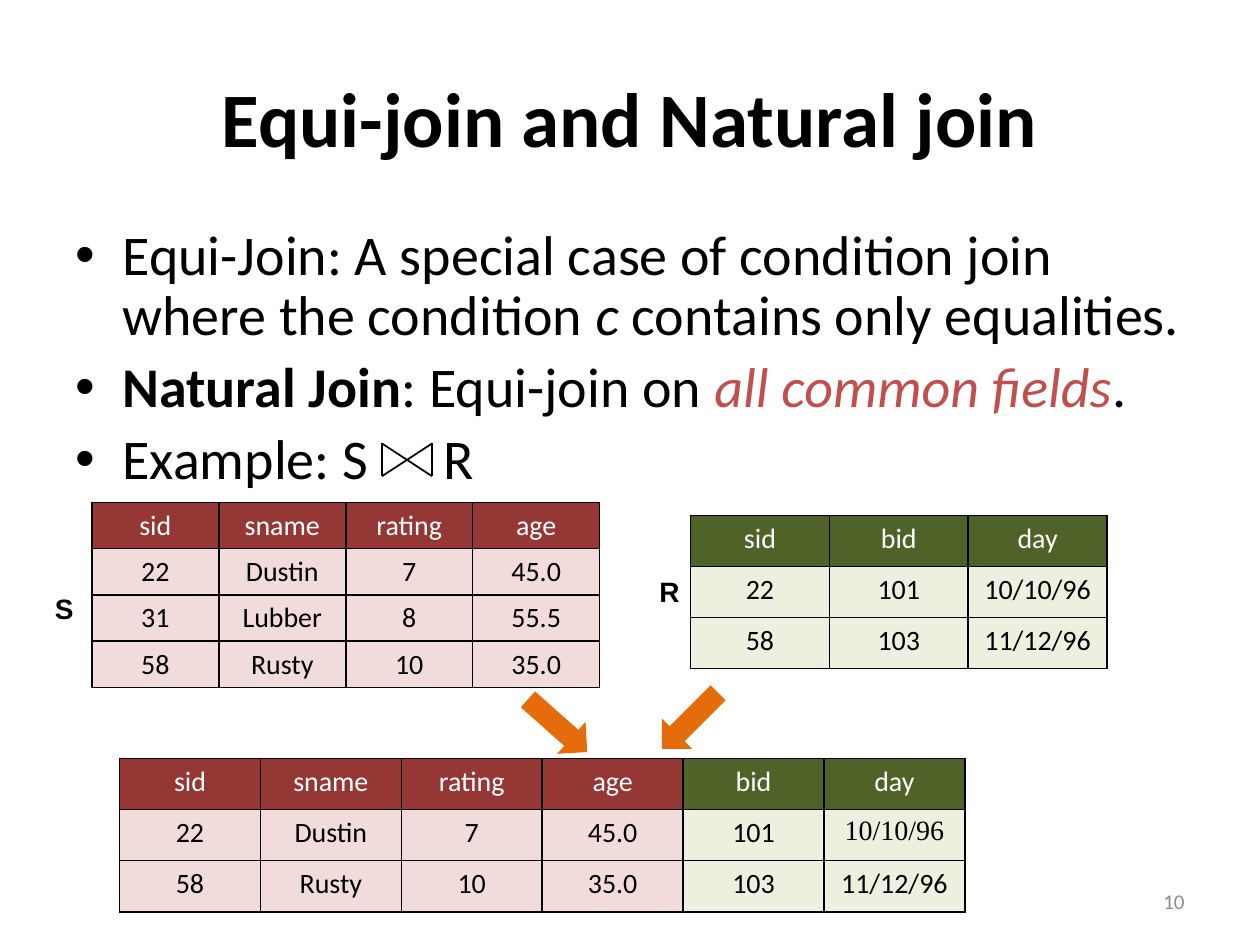
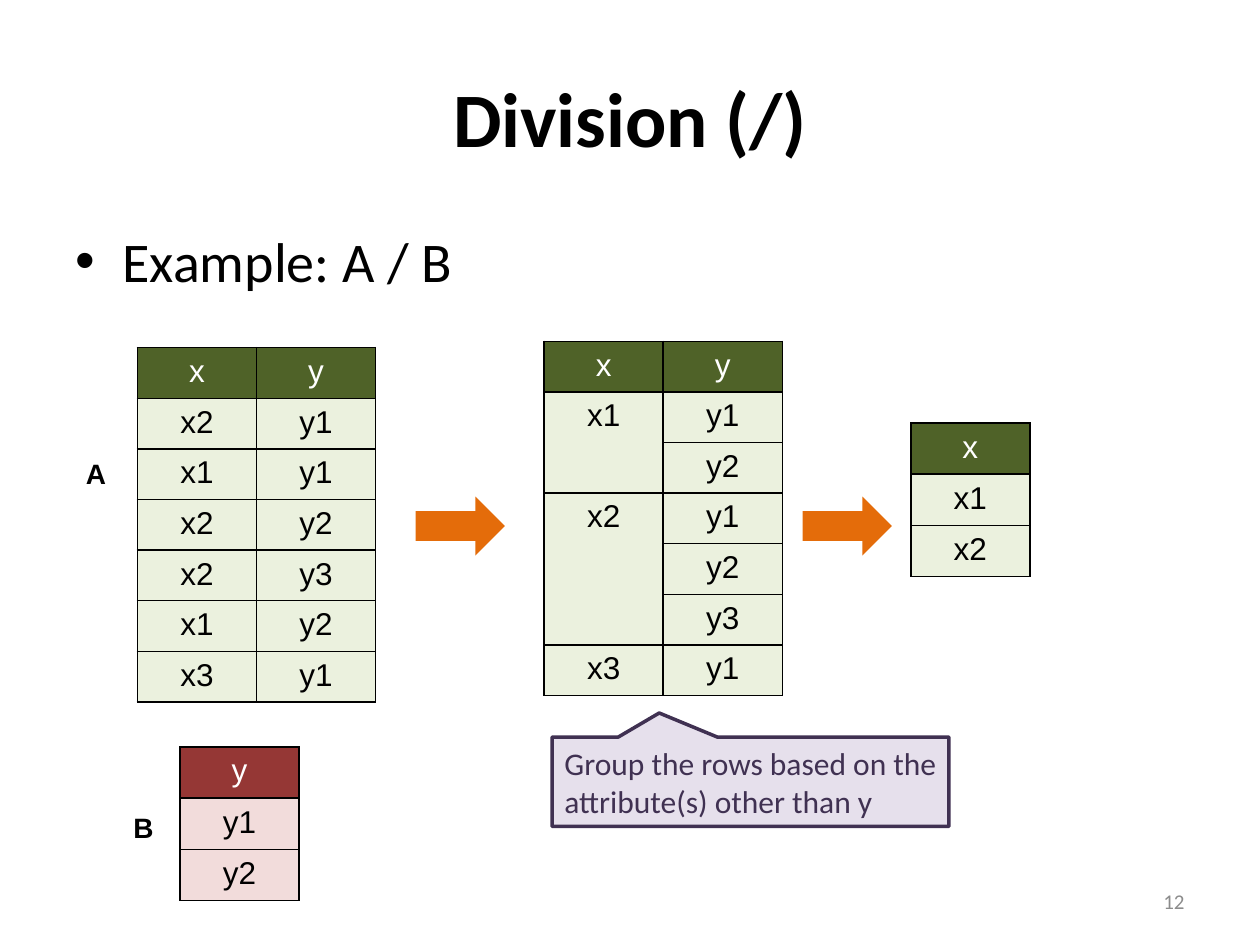
from lxml.etree import SubElement
from pptx import Presentation
from pptx.dml.color import RGBColor
from pptx.enum.shapes import MSO_CONNECTOR as Connector, MSO_SHAPE as Shape
from pptx.enum.text import MSO_ANCHOR as Anchor, PP_ALIGN as Align
from pptx.oxml.ns import qn
from pptx.util import Cm, Pt

# Colours
BLACK = RGBColor(0x00, 0x00, 0x00)
WHITE = RGBColor(0xFF, 0xFF, 0xFF)
GRAY = RGBColor(0x8C, 0x8C, 0x8C)
ACCENT_RED = RGBColor(0xC0, 0x50, 0x4D)
DARK_RED = RGBColor(0x95, 0x37, 0x35)
PALE_RED = RGBColor(0xF2, 0xDC, 0xDB)
DARK_GREEN = RGBColor(0x4F, 0x62, 0x28)
PALE_GREEN = RGBColor(0xEB, 0xF1, 0xDE)
ORANGE = RGBColor(0xE4, 0x6C, 0x0A)
DARK_PURPLE = RGBColor(0x40, 0x31, 0x52)
PALE_PURPLE = RGBColor(0xE6, 0xE0, 0xEC)

# Table themes: header fill, body fill
RED = (DARK_RED, PALE_RED)
GREEN = (DARK_GREEN, PALE_GREEN)

# Text formats
TITLE = dict(name="Calibri", size=Pt(44), bold=True, color=BLACK)
BODY = dict(name="Calibri", size=Pt(32), color=BLACK)
NUMBER = dict(name="Calibri", size=Pt(12), color=GRAY)
LABEL = dict(name="Arial", size=Pt(16), bold=True, color=BLACK)
CALLOUT = dict(name="Calibri", size=Pt(18), color=DARK_PURPLE)
CALIBRI_CELL = dict(name="Calibri", size=Pt(16))
ARIAL_CELL = dict(name="Arial", size=Pt(18))


def format_font(font, values):
    for key, value in values.items():
        if key == "color":
            font.color.rgb = value
        else:
            setattr(font, key, value)


def add_span(para, text, values):
    span = para.add_run()
    span.text = text
    format_font(span.font, values)


def add_page(deck, title, number):
    page = deck.slides.add_slide(deck.slide_layouts[5])
    holder = page.shapes.title
    place = dict(left=Cm(1.27), top=Cm(0.76), width=Cm(22.86), height=Cm(3.18))
    for key, value in place.items():
        setattr(holder, key, value)
    holder.text_frame.vertical_anchor = Anchor.MIDDLE
    para = holder.text_frame.paragraphs[0]
    para.alignment = Align.CENTER
    add_span(para, title, TITLE)
    add_text(page, (18.21, 17.65, 5.92, 1.02), number, NUMBER, Align.RIGHT, Anchor.MIDDLE)
    return page


def add_box(page, place):
    box = page.shapes.add_textbox(*map(Cm, place))
    box.text_frame.word_wrap = True
    return box


def add_text(page, place, text, values, align, anchor=Anchor.TOP):
    frame = add_box(page, place).text_frame
    frame.vertical_anchor = anchor
    para = frame.paragraphs[0]
    para.alignment = align
    add_span(para, text, values)


def add_label(page, left, top, text):
    add_text(page, (left, top, 1.27, 0.94), text, LABEL, Align.CENTER)


def add_bullets(page, items, line_spacing=1.0, tab=None):
    """Each item is a list of (text, extra format) spans."""
    frame = add_box(page, (1.27, 4.45, 22.86, 12.57)).text_frame
    for index, spans in enumerate(items):
        para = frame.add_paragraph() if index else frame.paragraphs[0]
        props = para._p.get_or_add_pPr()
        props.set("marL", str(Cm(0.95)))
        props.set("indent", str(-Cm(0.95)))
        SubElement(props, qn("a:buFont"), typeface="Arial")
        SubElement(props, qn("a:buChar"), char="•")
        if tab:
            tabs = SubElement(props, qn("a:tabLst"))
            SubElement(tabs, qn("a:tab"), pos=str(Cm(tab)), algn="l")
        para.line_spacing = line_spacing
        if index:
            para.space_before = Pt(6.4)
        for text, extra in spans:
            add_span(para, text, BODY | extra)


def add_borders(cell):
    props = cell._tc.get_or_add_tcPr()
    for side in ("lnL", "lnR", "lnT", "lnB"):
        line = SubElement(props, qn(f"a:{side}"), w=str(Pt(1)))
        fill = SubElement(line, qn("a:solidFill"))
        SubElement(fill, qn("a:srgbClr"), val=str(BLACK))


def add_grid(page, left, top, column_width, row_height, rows, themes, values, merges=()):
    """Draw a table with one theme per column; None marks a merged cell."""
    row_count, column_count = len(rows), len(rows[0])
    table = page.shapes.add_table(
        row_count, column_count, Cm(left), Cm(top),
        Cm(column_width * column_count), Cm(row_height * row_count)).table
    for column in table.columns:
        column.width = Cm(column_width)
    for row in table.rows:
        row.height = Cm(row_height)
    for row_index, row in enumerate(rows):
        for column_index, text in enumerate(row):
            cell = table.cell(row_index, column_index)
            add_borders(cell)
            header, body = themes[column_index]
            cell.fill.solid()
            cell.fill.fore_color.rgb = body if row_index else header
            if text is None:
                continue
            para = cell.text_frame.paragraphs[0]
            para.alignment = Align.CENTER
            color = BLACK if row_index else WHITE
            add_span(para, text, values | dict(bold=False, color=color))
    for first, last in merges:
        table.cell(first, 0).merge(table.cell(last, 0))
    return table


def add_filled_shape(page, kind, place, color):
    shape = page.shapes.add_shape(kind, *map(Cm, place))
    shape.shadow.inherit = False
    shape.fill.solid()
    shape.fill.fore_color.rgb = color
    return shape


def add_arrow(page, place, rotation=0):
    arrow = add_filled_shape(page, Shape.RIGHT_ARROW, place, ORANGE)
    arrow.line.fill.background()
    arrow.rotation = rotation


def add_callout(page, place, text):
    callout = add_filled_shape(page, Shape.RECTANGULAR_CALLOUT, place, PALE_PURPLE)
    callout.adjustments[0] = -0.23
    callout.adjustments[1] = -0.77
    callout.line.color.rgb = DARK_PURPLE
    callout.line.width = Pt(2)
    frame = callout.text_frame
    frame.word_wrap = True
    frame.vertical_anchor = Anchor.MIDDLE
    frame.paragraphs[0].alignment = Align.LEFT
    add_span(frame.paragraphs[0], text, CALLOUT)


def add_join_symbol(page, left, top, right, bottom):
    group = page.shapes.add_group_shape()
    for ends in ((left, top, right, bottom), (left, bottom, right, top),
                 (left, top, left, bottom), (right, top, right, bottom)):
        line = group.shapes.add_connector(Connector.STRAIGHT, *map(Cm, ends))
        line.line.color.rgb = BLACK
        line.line.width = Pt(1)
        SubElement(line._element.spPr, qn("a:effectLst"))


def build_joins(deck):
    page = add_page(deck, "Equi-join and Natural join", "10")
    add_bullets(page, [
        [("Equi-Join: A special case of condition join where the condition ", {}),
         ("c", dict(italic=True)), (" contains only equalities.", {})],
        [("Natural Join", dict(bold=True)), (": Equi-join on ", {}),
         ("all common fields", dict(italic=True, color=ACCENT_RED)), (".", {})],
        [("Example: S\tR", {})],
    ], line_spacing=0.9, tab=7.42)
    add_join_symbol(page, 7.7, 8.94, 8.71, 9.6)

    # Source relations
    sailors = [("sid", "sname", "rating", "age"),
               ("22", "Dustin", "7", "45.0"),
               ("31", "Lubber", "8", "55.5"),
               ("58", "Rusty", "10", "35.0")]
    reserves = [("sid", "bid", "day"),
                ("22", "101", "10/10/96"),
                ("58", "103", "11/12/96")]
    add_grid(page, 1.85, 10.13, 2.56, 0.93, sailors, [RED] * 4, CALIBRI_CELL)
    add_grid(page, 13.92, 10.39, 2.8, 1.03, reserves, [GREEN] * 3, CALIBRI_CELL)
    add_label(page, 0.66, 11.81, "S")
    add_label(page, 12.86, 11.46, "R")

    # Joined relation: rows matched on sid
    add_arrow(page, (13.11, 14.1, 1.6, 0.86), 135)
    add_arrow(page, (10.44, 14.2, 1.6, 0.86), 41.6)
    joined = [left + right[1:] for left in sailors for right in reserves
              if left[0] == right[0]]
    table = add_grid(page, 2.41, 15.29, 2.84, 1.03, joined,
                     [RED] * 4 + [GREEN] * 2, CALIBRI_CELL)
    first_day = table.cell(1, 5).text_frame.paragraphs[0].runs[0]
    first_day.font.name = "Times New Roman"


def build_division(deck):
    page = add_page(deck, "Division (/)", "12")
    add_bullets(page, [[("Example: A / B", {})]])

    # Operands
    pairs = [("x", "y"), ("x2", "y1"), ("x1", "y1"), ("x2", "y2"),
             ("x2", "y3"), ("x1", "y2"), ("x3", "y1")]
    add_grid(page, 2.77, 7.01, 2.4, 1.02, pairs, [GREEN] * 2, ARIAL_CELL)
    add_grid(page, 3.63, 15.06, 2.4, 1.03, [("y",), ("y1",), ("y2",)], [RED], ARIAL_CELL)
    add_label(page, 1.3, 9.07, "A")
    add_label(page, 2.26, 16.21, "B")

    # Grouped rows and quotient
    grouped = [("x", "y"), ("x1", "y1"), (None, "y2"), ("x2", "y1"),
               (None, "y2"), (None, "y3"), ("x3", "y1")]
    add_grid(page, 10.97, 6.88, 2.4, 1.02, grouped, [GREEN] * 2, ARIAL_CELL,
             merges=[(1, 2), (3, 5)])
    add_grid(page, 18.36, 8.53, 2.4, 1.03, [("x",), ("x1",), ("x2",)], [GREEN], ARIAL_CELL)
    for left in (8.38, 16.18):
        add_arrow(page, (left, 10.01, 1.8, 1.19))
    add_callout(page, (11.13, 14.86, 8, 1.8),
                "Group the rows based on the attribute(s) other than y")


def main():
    deck = Presentation()
    deck.slide_width, deck.slide_height = Cm(25.4), Cm(19.05)
    build_joins(deck)
    build_division(deck)
    deck.save("out.pptx")


if __name__ == "__main__":
    main()
